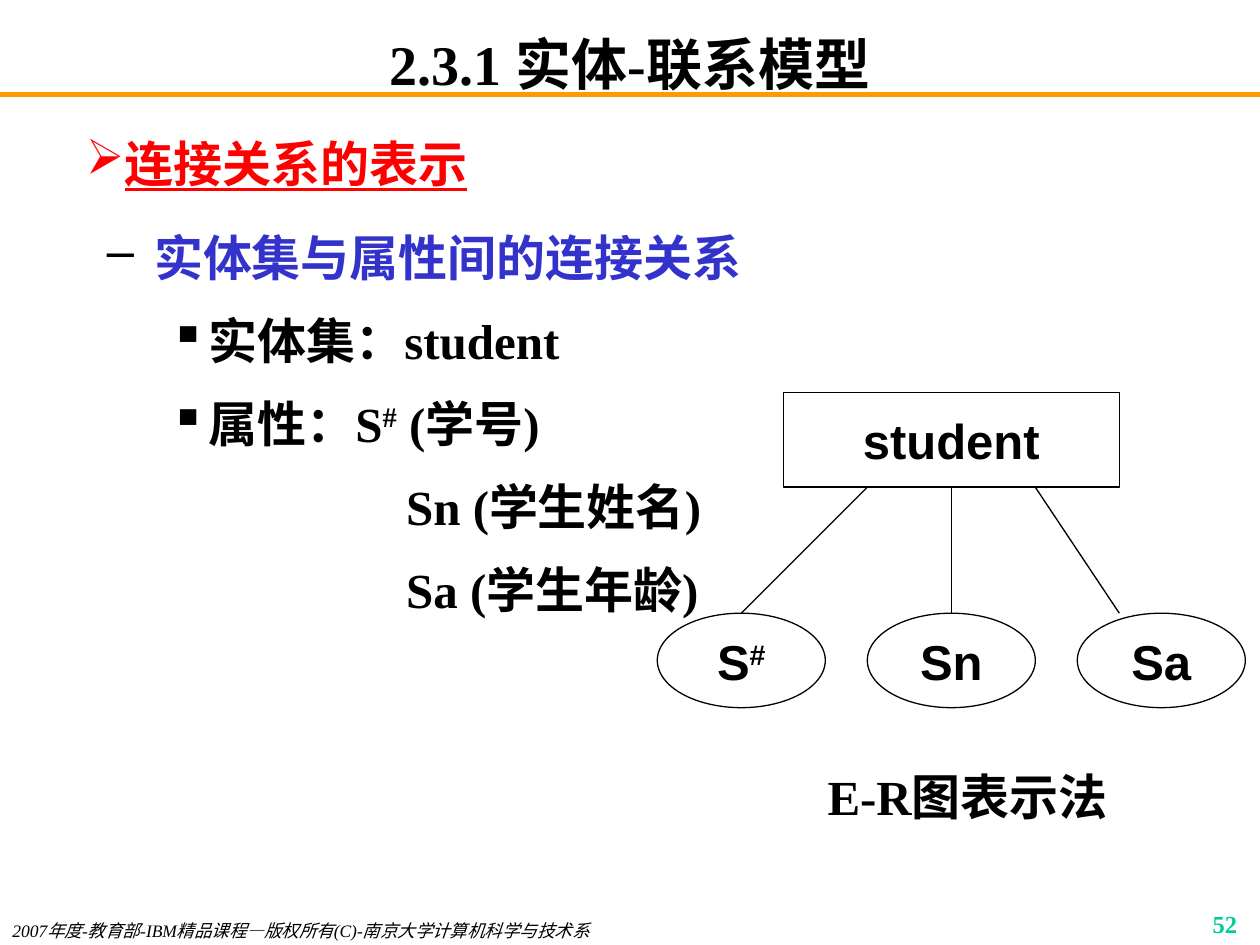
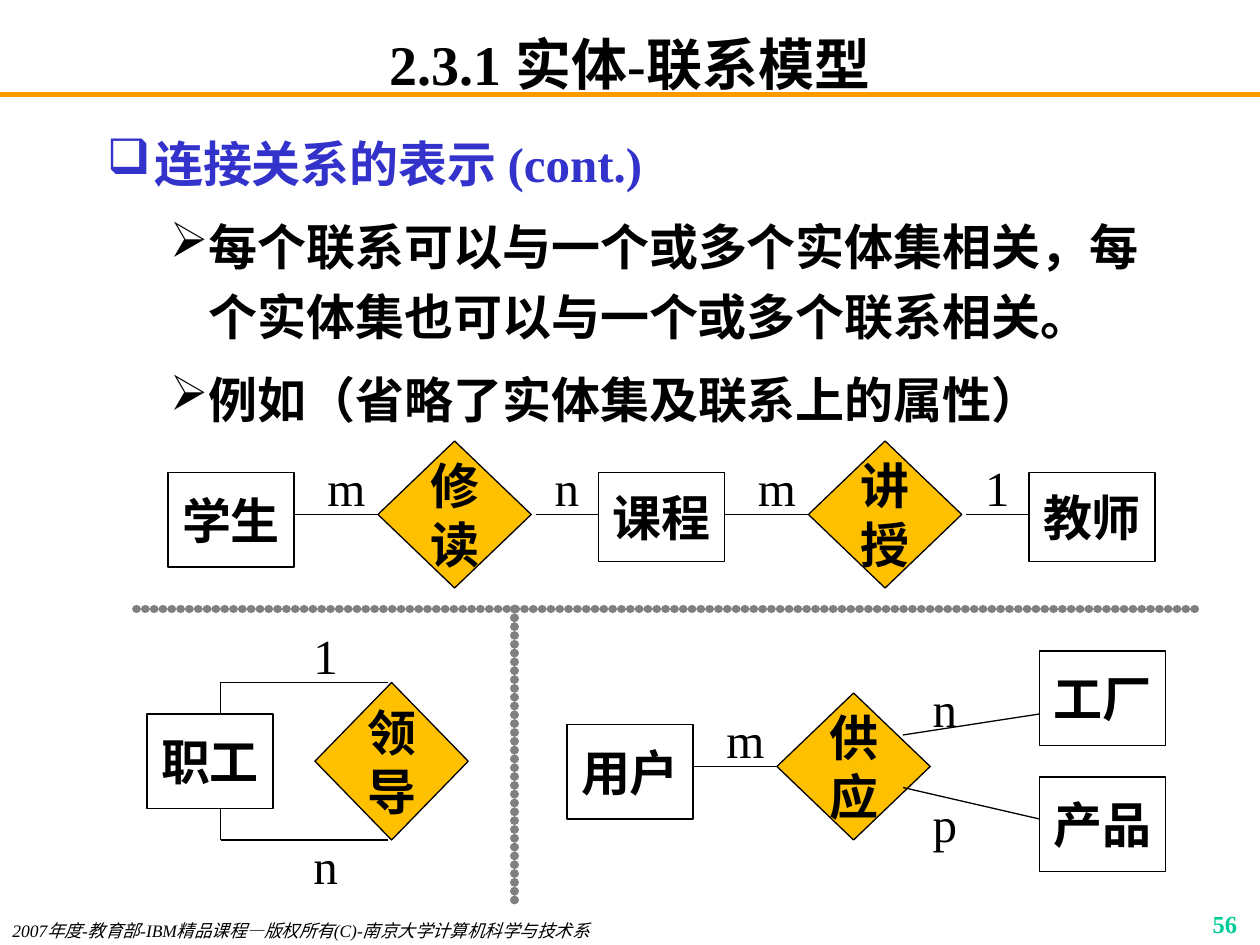
from dataclasses import dataclass
from lxml.etree import SubElement
from pptx import Presentation
from pptx.dml.color import RGBColor
from pptx.enum.shapes import MSO_CONNECTOR, MSO_SHAPE
from pptx.enum.text import MSO_ANCHOR, PP_ALIGN
from pptx.oxml.ns import qn
from pptx.util import Emu, Pt

PX = 7620
BLACK = RGBColor(0x00, 0x00, 0x00)
WHITE = RGBColor(0xFF, 0xFF, 0xFF)
ORANGE = RGBColor(0xFF, 0x99, 0x00)
GOLD = RGBColor(0xFF, 0xC0, 0x00)
RED = RGBColor(0xFF, 0x00, 0x00)
BLUE = RGBColor(0x33, 0x33, 0xCC)
GREEN = RGBColor(0x00, 0xCC, 0x99)
GRAY = RGBColor(0x80, 0x80, 0x80)
SERIF, SANS, CJK = "Times New Roman", "Arial", "Noto Sans CJK SC"
RECT, OVAL, DIAMOND = MSO_SHAPE.RECTANGLE, MSO_SHAPE.OVAL, MSO_SHAPE.DIAMOND
LEFT, CENTER, RIGHT = PP_ALIGN.LEFT, PP_ALIGN.CENTER, PP_ALIGN.RIGHT

TITLE = {"name": SERIF, "size": Pt(32), "bold": True}
BODY = {"name": SERIF, "size": Pt(28), "bold": True}
NODE = {"name": SANS, "size": Pt(28), "bold": True}
CARDINALITY = {"name": SERIF, "size": Pt(28)}
FOOTER = {"name": SERIF, "size": Pt(10), "italic": True}
NUMBER = {"name": SERIF, "size": Pt(14), "bold": True}


@dataclass(frozen=True)
class Box:
    x: int
    y: int
    w: int
    h: int

    def sites(self) -> list[tuple[int, int]]:
        """Return the side middles in order top, left, bottom, right."""
        mid_x, mid_y = self.x + self.w // 2, self.y + self.h // 2
        return [(mid_x, self.y), (self.x, mid_y),
                (mid_x, self.y + self.h), (self.x + self.w, mid_y)]


@dataclass(frozen=True)
class Item:
    text: str
    bullet: str = ""
    margin: int = 97
    hang: int = 37
    color: RGBColor = BLACK
    bullet_color: RGBColor = BLACK
    underline: bool = False


@dataclass(frozen=True)
class Node:
    text: str
    box: Box
    kind: MSO_SHAPE = RECT


@dataclass(frozen=True)
class Wire:
    x1: int
    y1: int
    x2: int
    y2: int


@dataclass(frozen=True)
class Label:
    text: str
    x: int
    y: int


def emu(*lengths: int) -> list[Emu]:
    """Turn px lengths into EMU."""
    return [Emu(n * PX) for n in lengths]


def add_runs(p, text: str, style: dict, color: RGBColor = BLACK) -> None:
    """Write text into a paragraph, raising the parts between carets."""
    for i, part in enumerate(text.split("^")):
        if not part:
            continue
        r = p.add_run()
        r.text = part
        for key, value in style.items():
            setattr(r.font, key, value)
        r.font.color.rgb = color
        rPr = r.font._element
        SubElement(rPr, qn("a:ea"), typeface=CJK)
        if i % 2:
            rPr.set("baseline", "30000")


def add_text(s, box: Box, text: str, style: dict, color: RGBColor = BLACK,
             align: PP_ALIGN = LEFT):
    """Add a one-paragraph text box and return its frame."""
    tf = s.shapes.add_textbox(*emu(box.x, box.y, box.w, box.h)).text_frame
    tf.word_wrap = True
    p = tf.paragraphs[0]
    p.alignment = align
    add_runs(p, text, style, color)
    return tf


def add_outline(s, box: Box, items: list[Item]) -> None:
    """Add a text box of bulleted and indented paragraphs."""
    tf = s.shapes.add_textbox(*emu(box.x, box.y, box.w, box.h)).text_frame
    tf.word_wrap = True
    for i, item in enumerate(items):
        p = tf.add_paragraph() if i else tf.paragraphs[0]
        p.line_spacing = 1.2
        if i:
            p.space_before = Pt(7)
        pPr = p._p.get_or_add_pPr()
        pPr.set("marL", str(item.margin * PX))
        pPr.set("indent", str(-item.hang * PX))
        if item.bullet:
            color = SubElement(pPr, qn("a:buClr"))
            SubElement(color, qn("a:srgbClr"), val=str(item.bullet_color))
            SubElement(pPr, qn("a:buChar"), char=item.bullet)
        add_runs(p, item.text, BODY | {"underline": item.underline}, item.color)


def add_line(s, wire: Wire, color: RGBColor = BLACK, width: float = 0.75):
    """Add a straight connector without shadow."""
    line = s.shapes.add_connector(
        MSO_CONNECTOR.STRAIGHT, *emu(wire.x1, wire.y1, wire.x2, wire.y2))
    line.line.color.rgb = color
    line.line.width = Pt(width)
    SubElement(line._element.spPr, qn("a:effectLst"))
    return line


def add_dotted(s, wire: Wire) -> None:
    """Add a divider made of round dots."""
    ln = add_line(s, wire, GRAY, 5).line._get_or_add_ln()
    ln.set("cap", "rnd")
    dash = SubElement(ln, qn("a:custDash"))
    SubElement(dash, qn("a:ds"), d="1000", sp="100000")


def add_node(s, node: Node):
    """Add an entity, attribute or relationship shape."""
    b = node.box
    sp = s.shapes.add_shape(node.kind, *emu(b.x, b.y, b.w, b.h))
    sp.shadow.inherit = False
    sp.fill.solid()
    sp.fill.fore_color.rgb = GOLD if node.kind == DIAMOND else WHITE
    sp.line.color.rgb = BLACK
    sp.line.width = Pt(0.75)
    tf = sp.text_frame
    tf.word_wrap = True
    tf.vertical_anchor = MSO_ANCHOR.MIDDLE
    p = tf.paragraphs[0]
    p.alignment = CENTER
    add_runs(p, node.text, NODE)
    return sp


def add_diagram(s, nodes: list[Node], wires: list[Wire],
                labels: list[Label]) -> None:
    """Draw an E-R diagram, joining wires that end at a side's middle."""
    placed = [(node.box.sites(), add_node(s, node)) for node in nodes]
    for wire in wires:
        line = add_line(s, wire)
        for sites, sp in placed:
            if (wire.x1, wire.y1) in sites:
                line.begin_connect(sp, sites.index((wire.x1, wire.y1)))
            if (wire.x2, wire.y2) in sites:
                line.end_connect(sp, sites.index((wire.x2, wire.y2)))
    for label in labels:
        add_text(s, Box(label.x, label.y, 60, 68), label.text, CARDINALITY,
                 align=CENTER)


def add_base(prs, number: int):
    """Add a slide with the shared title, rule and footer."""
    s = prs.slides.add_slide(prs.slide_layouts[6])
    add_line(s, Wire(0, 90, 1200, 90), ORANGE, 3)
    tf = add_text(s, Box(90, 30, 1020, 60), "2.3.1 实体-联系模型", TITLE,
                  align=CENTER)
    tf.vertical_anchor = MSO_ANCHOR.MIDDLE
    tf.margin_top = tf.margin_bottom = 0
    add_text(s, Box(0, 870, 660, 30),
             "2007年度-教育部-IBM精品课程—版权所有(C)-南京大学计算机科学与技术系",
             FOOTER)
    add_text(s, Box(940, 860, 250, 30), str(number), NUMBER, GREEN, RIGHT)
    return s


def build_attributes(prs) -> None:
    """Build the slide on entity sets and their attributes."""
    s = add_base(prs, 52)
    add_outline(s, Box(10, 110, 1020, 730), [
        Item("连接关系的表示", "➢", color=RED, bullet_color=RED, underline=True)])
    add_outline(s, Box(90, 200, 1020, 430), [
        Item("实体集与属性间的连接关系", "–", 45, 45, BLUE),
        Item("实体集：student", "▪"),
        Item("属性：S^#^ (学号)", "▪"),
        Item("Sn (学生姓名)", margin=285, hang=0),
        Item("Sa (学生年龄)", margin=285, hang=0)])
    nodes = [Node("student", Box(746, 374, 320, 90))]
    nodes += [Node(text, Box(626 + 200 * i, 584, 160, 90), OVAL)
              for i, text in enumerate(["S^#", "Sn", "Sa"])]
    wires = [Wire(826 + 80 * i, 464, end, 584)
             for i, end in enumerate([706, 906, 1066])]
    add_diagram(s, nodes, wires, [])
    add_text(s, Box(751, 724, 341, 68), "E-R图表示法", BODY, align=CENTER)


def build_relationships(prs) -> None:
    """Build the slide on relationships between entity sets."""
    s = add_base(prs, 56)
    add_outline(s, Box(90, 110, 1020, 730), [
        Item("连接关系的表示 (cont.)", "❑", 45, 45, BLUE, BLUE),
        Item("每个联系可以与一个或多个实体集相关，每个实体集也可以与一个或多个联系相关。", "➢"),
        Item("例如（省略了实体集及联系上的属性）", "➢")])

    nodes, wires, labels = [Node("学生", Box(160, 450, 120, 90))], [], []
    for i, (relation, entity, many) in enumerate(
            [("修读", "课程", "n"), ("讲授", "教师", "1")]):
        x = 280 + 410 * i
        nodes += [Node(relation, Box(x + 80, 420, 146, 140), DIAMOND),
                  Node(entity, Box(x + 290, 450, 120, 85))]
        wires += [Wire(x, 490, x + 80, 490), Wire(x + 230, 490, x + 290, 490)]
        labels += [Label("m", x + 20, 430), Label(many, x + 230, 430)]
    add_diagram(s, nodes, wires, labels)

    add_diagram(
        s,
        [Node("职工", Box(140, 680, 120, 90)),
         Node("领导", Box(300, 650, 146, 150), DIAMOND)],
        [Wire(210, 650, 370, 650), Wire(210, 650, 210, 680),
         Wire(210, 800, 370, 800), Wire(210, 770, 210, 800)],
        [Label("1", 280, 590), Label("n", 280, 790)])

    add_diagram(
        s,
        [Node("用户", Box(540, 690, 120, 90)),
         Node("供应", Box(740, 660, 146, 140), DIAMOND),
         Node("工厂", Box(990, 620, 120, 90)),
         Node("产品", Box(990, 740, 120, 90))],
        [Wire(660, 730, 740, 730), Wire(860, 700, 990, 680),
         Wire(860, 750, 990, 780)],
        [Label("m", 680, 670), Label("n", 870, 640), Label("p", 870, 750)])

    add_dotted(s, Wire(130, 580, 1140, 580))
    add_dotted(s, Wire(490, 580, 490, 860))


def main() -> None:
    """Build and save the presentation."""
    prs = Presentation()
    prs.slide_width, prs.slide_height = emu(1200, 900)
    build_attributes(prs)
    build_relationships(prs)
    prs.save("out.pptx")


if __name__ == "__main__":
    main()
